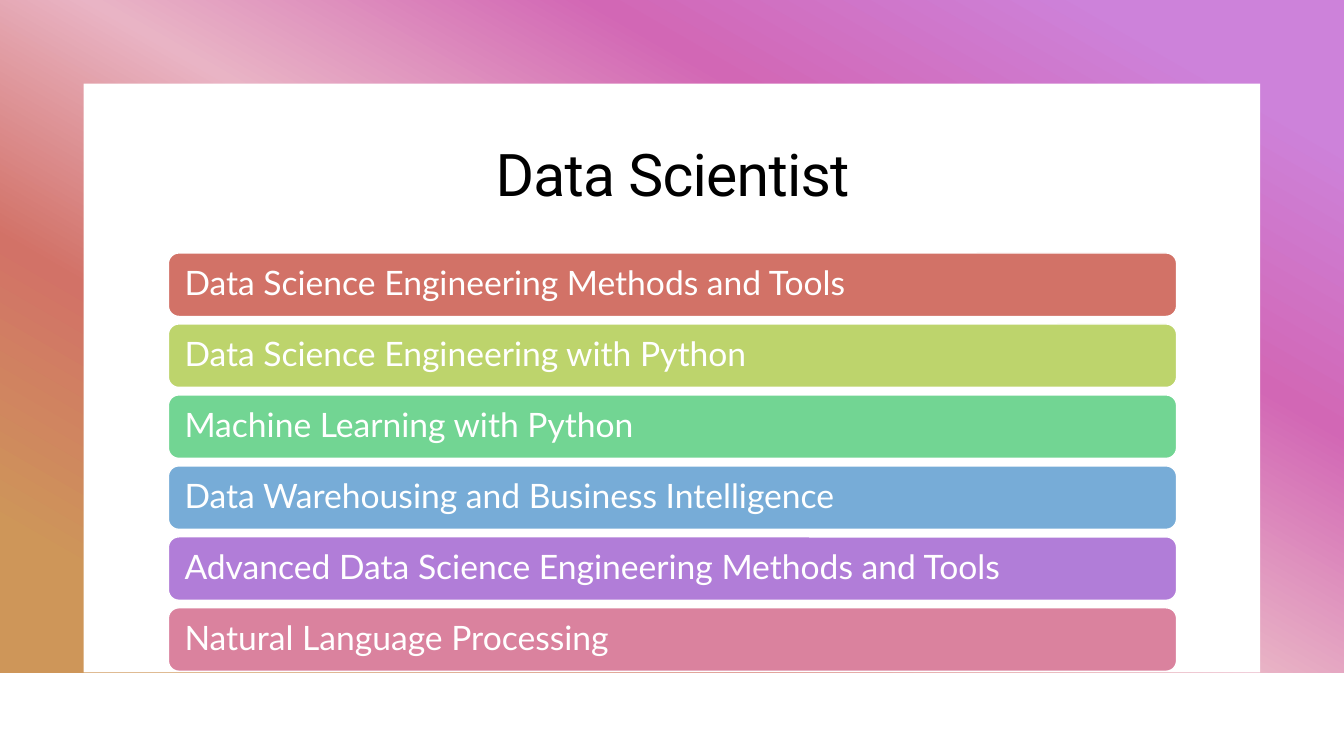
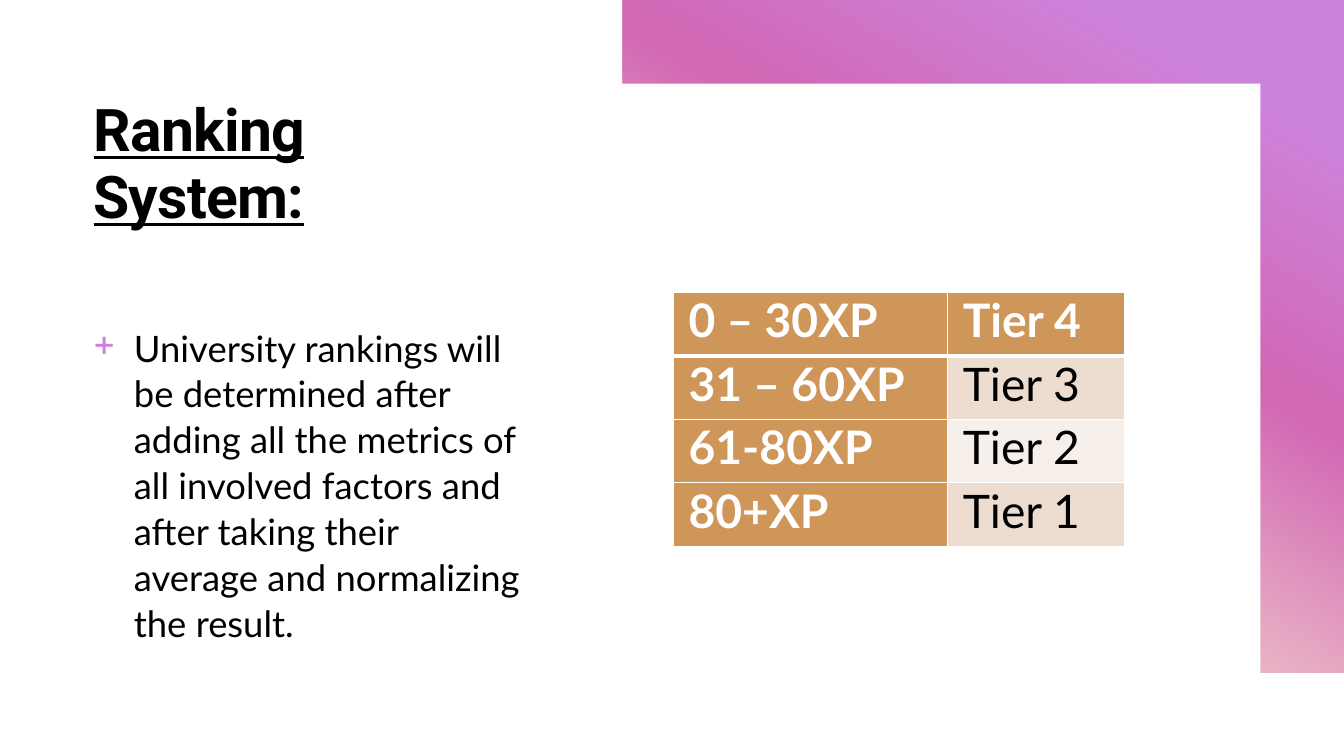
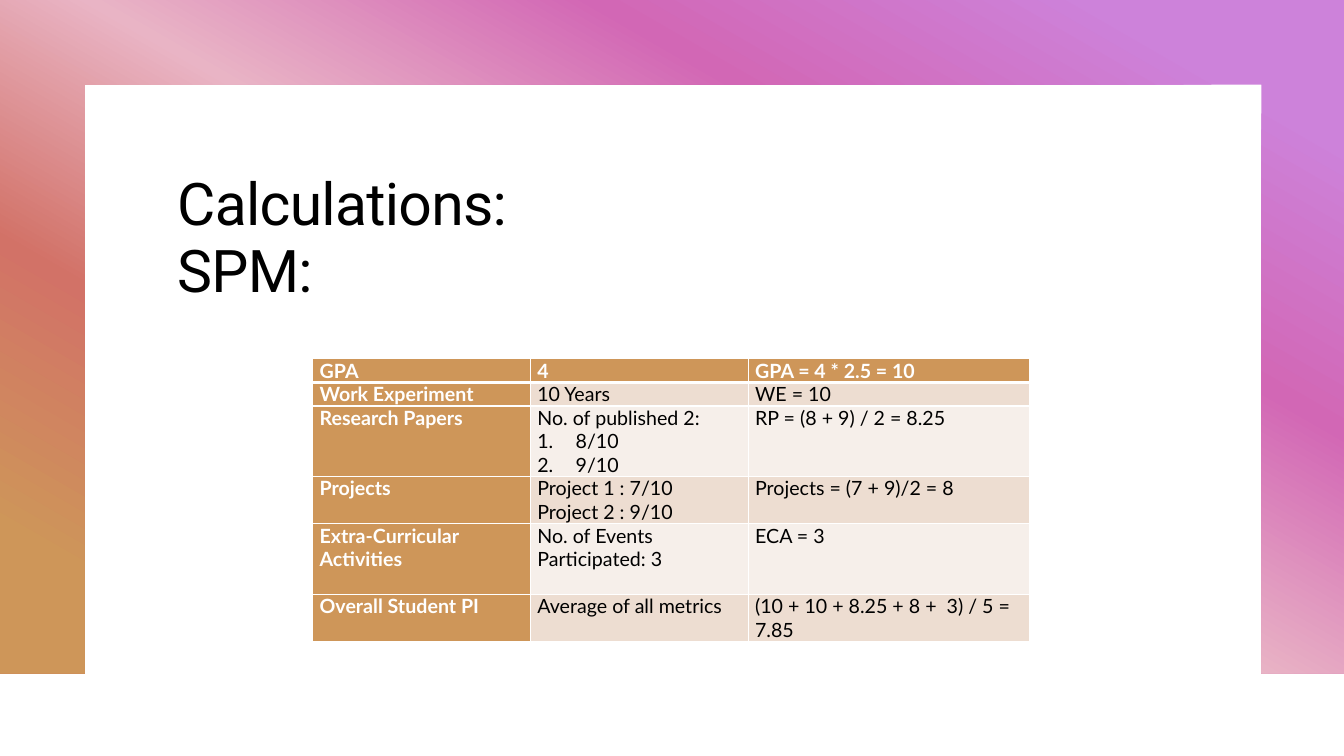
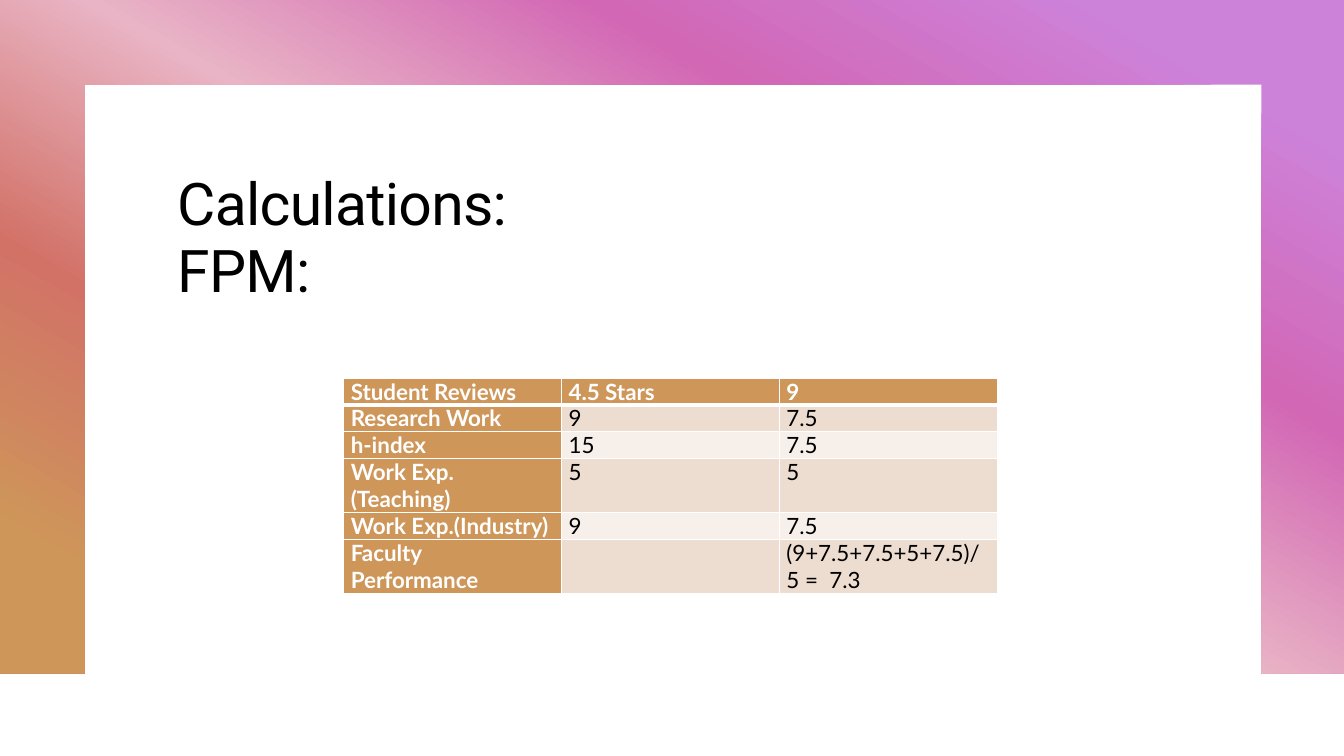
from lxml import etree
from pptx import Presentation
from pptx.dml.color import RGBColor
from pptx.enum.shapes import MSO_SHAPE
from pptx.enum.text import MSO_ANCHOR, PP_ALIGN
from pptx.oxml.ns import qn
from pptx.util import Inches, Pt

RECTANGLE = MSO_SHAPE.RECTANGLE
ROUNDED = MSO_SHAPE.ROUNDED_RECTANGLE
TOP, MIDDLE = MSO_ANCHOR.TOP, MSO_ANCHOR.MIDDLE
LEFT, CENTER = PP_ALIGN.LEFT, PP_ALIGN.CENTER

WHITE, BLACK = "FFFFFF", "000000"
LILAC, CORAL, TAN = "CD82DA", "D27267", "CE9659"
TAN_BAND, TAN_LIGHT = "EDDDD1", "F6EFEA"
GRADIENT = [(10, LILAC), (30, "D267B5"), (50, "E9B4C5"), (70, CORAL), (90, TAN)]
TITLE_FONT, BODY_FONT = "Roboto", "Lato"
LINE_HEIGHT = 1.2
WIDTH, HEIGHT, BAND_HEIGHT = 13.33, 7.5, 6.67


def rgb(value):
    return RGBColor.from_string(value)


def child(parent, tag, **attributes):
    node = etree.SubElement(parent, qn(tag))
    for key, value in attributes.items():
        node.set(key, str(value))
    return node


class Deck:
    def __init__(self):
        self.prs = Presentation()
        self.prs.slide_width = Inches(WIDTH)
        self.prs.slide_height = Inches(HEIGHT)
        self.slide = None

    def new_slide(self):
        self.slide = self.prs.slides.add_slide(self.prs.slide_layouts[6])

    def paint(self, shape, fill=None):
        shape.shadow.inherit = False
        shape.line.fill.background()
        if fill:
            shape.fill.solid()
            shape.fill.fore_color.rgb = rgb(fill)
            return
        shape.fill.gradient()
        shape.fill.gradient_angle = 240
        stops = shape.fill._xPr.find(".//" + qn("a:gsLst"))
        for stop in list(stops):
            stops.remove(stop)
        for percent, value in GRADIENT:
            stop = child(stops, "a:gs", pos=percent * 1000)
            child(stop, "a:srgbClr", val=value)

    def box(self, kind, left, top, width, height, fill=None):
        shape = self.slide.shapes.add_shape(
            kind, Inches(left), Inches(top), Inches(width), Inches(height))
        self.paint(shape, fill)
        return shape

    def outline(self, points, fill=None):
        start, *rest = [(Inches(x), Inches(y)) for x, y in points]
        builder = self.slide.shapes.build_freeform(*start)
        builder.add_line_segments(rest, close=True)
        self.paint(builder.convert_to_shape(), fill)

    def band(self):
        self.box(RECTANGLE, 0, 0, WIDTH, BAND_HEIGHT)

    def frame(self):
        right, inner, bottom = 12.51, 0.84, 6.68
        self.outline([(0, 0), (WIDTH, 0), (WIDTH, bottom), (right, bottom),
                      (right, inner), (inner, inner), (inner, bottom), (0, bottom)])

    def style(self, paragraph, size, color, font=BODY_FONT, bold=False):
        paragraph.font.name = font
        paragraph.font.size = Pt(size)
        paragraph.font.bold = bold
        paragraph.font.color.rgb = rgb(color)

    def text(self, left, top, width, height, words, anchor=TOP):
        frame = self.slide.shapes.add_textbox(
            Inches(left), Inches(top), Inches(width), Inches(height)).text_frame
        frame.word_wrap = True
        frame.vertical_anchor = anchor
        paragraph = frame.paragraphs[0]
        paragraph.text = words
        return paragraph

    def title(self, left, top, width, height, words, anchor=TOP, align=LEFT, strong=False):
        heading = self.text(left, top, width, height, words, anchor)
        heading.alignment = align
        heading.line_spacing = 0.95
        self.style(heading, 42, BLACK, TITLE_FONT, strong)
        heading.font.underline = strong
        heading._p.pPr.find(qn("a:defRPr")).set("spc", "-50")

    def indent(self, paragraph, distance):
        properties = paragraph._p.get_or_add_pPr()
        properties.set("marL", str(Inches(distance)))
        properties.set("indent", str(-Inches(distance)))
        return properties

    def bullet(self, left, top, width, height, words):
        point = self.text(left, top, width, height, words)
        properties = self.indent(point, 0.4)
        child(child(properties, "a:buClr"), "a:srgbClr", val=LILAC)
        child(properties, "a:buChar", char="+")
        point.line_spacing = 1.05
        self.style(point, 26, BLACK)

    def bar(self, left, top, width, height, words, fill):
        shape = self.box(ROUNDED, left, top, width, height, fill)
        shape.line.color.rgb = rgb(WHITE)
        shape.line.width = Pt(1)
        frame = shape.text_frame
        frame.word_wrap = True
        frame.vertical_anchor = MIDDLE
        frame.margin_left = frame.margin_right = Inches(0.13)
        label = frame.paragraphs[0]
        label.text = words
        label.alignment = LEFT
        label.line_spacing = 0.9
        self.style(label, 24, WHITE)

    def cell(self, cell, words, row, column, size, margin):
        heading = row == 0 or column == 0
        cell.margin_left = cell.margin_right = Inches(margin)
        cell.margin_top = cell.margin_bottom = 0
        thick_side = {0: "B", 1: "T"}.get(row)
        properties = cell._tc.get_or_add_tcPr()
        for side in "LRTB":
            weight = 3 if side == thick_side else 1
            border = child(properties, f"a:ln{side}", w=Pt(weight))
            child(child(border, "a:solidFill"), "a:srgbClr", val=WHITE)
        cell.fill.solid()
        cell.fill.fore_color.rgb = rgb(
            TAN if heading else TAN_BAND if row % 2 else TAN_LIGHT)
        cell.text = words.replace("# ", "")
        for paragraph, line in zip(cell.text_frame.paragraphs, words.split("\n")):
            if line.startswith("# "):
                child(self.indent(paragraph, 0.38), "a:buAutoNum", type="arabicPeriod")
            self.style(paragraph, size, WHITE if heading else BLACK, bold=heading)

    def table(self, left, top, widths, heights, rows, size, margin=0.07):
        grid = self.slide.shapes.add_table(
            len(rows), len(widths), Inches(left), Inches(top),
            Inches(sum(widths)), Inches(sum(heights))).table
        for column, width in zip(grid.columns, widths):
            column.width = Inches(width)
        for row, height in zip(grid.rows, heights):
            row.height = Inches(height)
        for r, row in enumerate(rows):
            for c, words in enumerate(row):
                self.cell(grid.cell(r, c), words, r, c, size, margin)

    def calculations(self, subject, left, top, widths, line_counts, rows, size):
        self.new_slide()
        self.frame()
        self.title(1.66, 1.66, 10, 1.47, f"Calculations:\v{subject}:")
        heights = [count * size * LINE_HEIGHT / 72 for count in line_counts]
        self.table(left, top, widths, heights, rows, size)


def data_scientist(deck):
    deck.new_slide()
    deck.band()
    deck.box(RECTANGLE, 0.83, 0.83, 11.67, 5.84, WHITE)
    deck.title(1.67, 1.24, 10, 1.01, "Data Scientist", MIDDLE, CENTER)
    courses = [
        ("Data Science Engineering Methods and Tools", CORAL),
        ("Data Science Engineering with Python", "BDD46C"),
        ("Machine Learning with Python", "72D593"),
        ("Data Warehousing and Business Intelligence", "77ACD7"),
        ("Advanced Data Science Engineering Methods and Tools", "B17DD8"),
        ("Natural Language Processing", "DA829E"),
    ]
    first_top, last_top = 2.51, 6.03
    step = (last_top - first_top) / (len(courses) - 1)
    for i, (course, fill) in enumerate(courses):
        deck.bar(1.67, first_top + i * step, 10, 0.63, course, fill)


def ranking_system(deck):
    deck.new_slide()
    deck.band()
    deck.outline([(0, 0), (6.17, 0), (6.17, 0.83), (12.5, 0.83), (12.5, 6.75), (0, 6.75)],
                 WHITE)
    deck.title(0.83, 0.92, 4.2, 1.45, "Ranking System:", strong=True)
    deck.bullet(0.83, 3.16, 4.47, 3.5,
                "University rankings will be determined after adding all the metrics of all "
                "involved factors and after taking their average and normalizing the result.")
    tiers = [("0 – 30XP", "Tier 4"), ("31 – 60XP", "Tier 3"),
             ("61-80XP", "Tier 2"), ("80+XP", "Tier 1")]
    deck.table(6.68, 2.9, [2.72, 1.75], [0.63] * len(tiers), tiers, 33, 0.15)


def student_metrics(deck):
    deck.calculations("SPM", 3.1, 3.56, [2.16, 2.16, 2.79], [1, 1, 3, 2, 3, 2], [
        ("GPA", "4", "GPA = 4 * 2.5 = 10"),
        ("Work Experiment", "10 Years", "WE = 10"),
        ("Research Papers", "No. of published 2:\n# 8/10\n# 9/10",
         "RP = (8 + 9) / 2 = 8.25"),
        ("Projects", "Project 1 : 7/10\nProject 2 : 9/10", "Projects = (7 + 9)/2 = 8"),
        ("Extra-Curricular Activities", "No. of Events Participated: 3", "ECA = 3"),
        ("Overall Student PI", "Average of all metrics",
         "(10 + 10 + 8.25 + 8 +  3) / 5 = 7.85"),
    ], 14)


def faculty_metrics(deck):
    deck.calculations("FPM", 3.41, 3.75, [2.16] * 3, [1, 1, 1, 2, 1, 2], [
        ("Student Reviews", "4.5 Stars", "9"),
        ("Research Work", "9", "7.5"),
        ("h-index", "15", "7.5"),
        ("Work Exp. (Teaching)", "5", "5"),
        ("Work Exp.(Industry)", "9", "7.5"),
        ("Faculty Performance", "", "(9+7.5+7.5+5+7.5)/5 =  7.3"),
    ], 16)


def main():
    deck = Deck()
    data_scientist(deck)
    ranking_system(deck)
    student_metrics(deck)
    faculty_metrics(deck)
    deck.prs.save("out.pptx")


if __name__ == "__main__":
    main()
